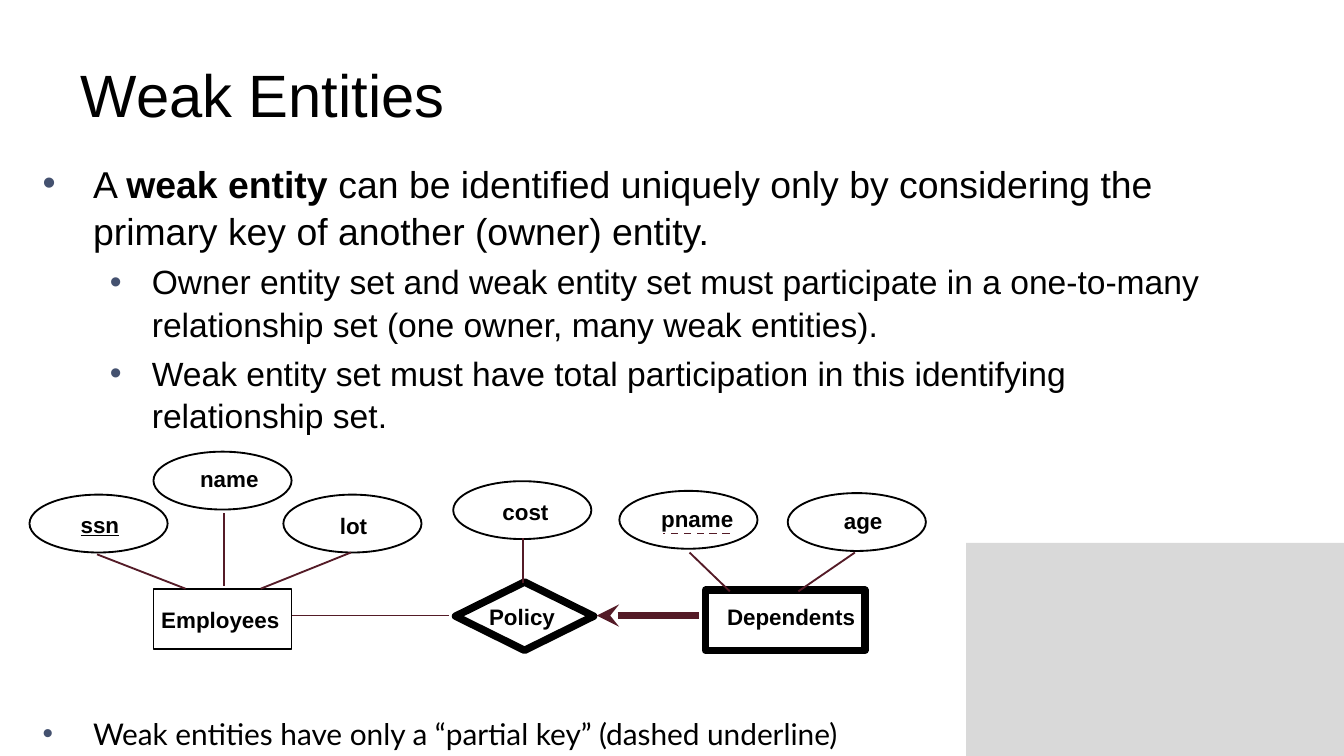
"""Build the Weak Entities slide with its entity-relationship diagram."""
from dataclasses import dataclass

import lxml.etree
import pptx
import pptx.dml.color
import pptx.enum.dml
import pptx.enum.shapes
import pptx.enum.text
import pptx.oxml
import pptx.oxml.ns
import pptx.util

Pt = pptx.util.Pt
Kind = pptx.enum.shapes.MSO_SHAPE
qualified = pptx.oxml.ns.qn


@dataclass(frozen=True)
class Theme:
    """Fonts, colours and sizes of the slide."""
    font: str = "Arial"
    note_font: str = "Lato"
    ink: str = "000000"
    link: str = "541B27"
    bullet: str = "44516F"
    panel: str = "D9D9D9"
    title_size: float = 32
    label_size: float = 12
    thin: float = 1
    thick: float = 4


THEME = Theme()


@dataclass(frozen=True)
class Bullet:
    """A bulleted paragraph; text between asterisks is bold."""
    text: str
    size: float
    margin: float
    hanging: float
    before: float
    font: str = THEME.font
    spacing: float = 1.05


@dataclass(frozen=True)
class Node:
    """An outlined diagram shape and the box of its label."""
    label: str
    left: float
    top: float
    label_left: float
    label_top: float
    label_width: float
    kind: Kind = Kind.OVAL
    width: float = 74
    height: float = 31
    weight: float = THEME.thin
    underline: bool = False


@dataclass(frozen=True)
class Link:
    """A straight line between two points."""
    x1: float
    y1: float
    x2: float
    y2: float
    weight: float = THEME.thin
    dashed: bool = False
    arrow: bool = False


BULLETS = [
    Bullet("A *weak entity *can be identified uniquely only by considering the "
           "primary key of another (owner) entity.", 20, 27, 27, 4),
    Bullet("Owner entity set and weak entity set must participate in a one-to-many "
           "relationship set (one owner, many weak entities).", 18, 58.5, 22.5, 3.6),
    Bullet("Weak entity set must have total participation in this identifying "
           "relationship set.", 18, 58.5, 22.5, 3.6),
    Bullet("Weak entities have only a “partial key” (dashed underline)",
           16, 27, 27, 150, THEME.note_font, 1.0),
]

NODES = [
    Node("ssn", 15.8, 265, 38.2, 270.7, 31.7, underline=True),
    Node("name", 82.2, 242, 102.2, 246.2, 42.5),
    Node("lot", 151.8, 265, 177.1, 271.4, 25.9),
    Node("cost", 242.8, 257.8, 264.2, 264.2, 35.3),
    Node("pname", 331.8, 263, 349.2, 267.8, 49.7),
    Node("age", 422, 264.2, 447.1, 268.6, 31.7),
    Node("Employees", 82.2, 315.4, 81.4, 321.8, 74.9, Kind.RECTANGLE, height=32.4),
    Node("Policy", 244, 311.8, 257, 320.4, 46.8, Kind.DIAMOND,
         height=36.6, weight=THEME.thick),
    Node("Dependents", 378, 316.2, 384.5, 320.4, 79.9, Kind.RECTANGLE,
         width=85.4, height=32.2, weight=THEME.thick),
]

LINKS = [
    Link(391, 285.8, 355, 285.8, dashed=True),
    Link(120.2, 275, 120.2, 314),
    Link(52, 297, 99.4, 315.4),
    Link(188, 296, 139.7, 315.4),
    Link(280.2, 312.5, 280.2, 288),
    Link(369.4, 296, 391, 316.8),
    Link(458, 296, 427.7, 316.8),
    Link(240.5, 329.8, 156.2, 329.8),
    Link(319.7, 329.8, 374.4, 329.8, THEME.thick, arrow=True),
]


def color(value: str) -> pptx.dml.color.RGBColor:
    """Return the colour for a hexadecimal value."""
    return pptx.dml.color.RGBColor.from_string(value)


def format_run(run, font: str, size: float, bold: bool = False) -> None:
    """Set the font, size, weight and ink of a run."""
    run.font.name, run.font.size, run.font.bold = font, Pt(size), bold
    run.font.color.rgb = color(THEME.ink)


def draw_panel(slide) -> None:
    """Draw the grey corner panel."""
    shape = slide.shapes.add_shape(Kind.RECTANGLE, Pt(517.6), Pt(290.8), Pt(202.4), Pt(114.2))
    shape.shadow.inherit = False
    shape.fill.solid()
    shape.fill.fore_color.rgb = color(THEME.panel)
    shape.line.fill.background()


def draw_title(slide, text: str) -> None:
    """Place and format the title placeholder."""
    title = slide.shapes.title
    title.left, title.top, title.width, title.height = Pt(36), Pt(16.6), Pt(648), Pt(67.6)
    title.text_frame.text = text
    title.text_frame.vertical_anchor = pptx.enum.text.MSO_ANCHOR.MIDDLE
    paragraph = title.text_frame.paragraphs[0]
    paragraph.alignment = pptx.enum.text.PP_ALIGN.LEFT
    format_run(paragraph.runs[0], THEME.font, THEME.title_size)


def draw_bullets(slide, bullets: list[Bullet]) -> None:
    """Write the bulleted text in one box."""
    text_frame = slide.shapes.add_textbox(Pt(15.8), Pt(81.4), Pt(648), Pt(323.6)).text_frame
    text_frame.word_wrap = True
    for index, bullet in enumerate(bullets):
        paragraph = text_frame.add_paragraph() if index else text_frame.paragraphs[0]
        paragraph.space_before = Pt(bullet.before)
        paragraph.line_spacing = bullet.spacing
        properties = paragraph._p.get_or_add_pPr()
        properties.set("marL", str(Pt(bullet.margin)))
        properties.set("indent", str(-Pt(bullet.hanging)))
        bullet_color = lxml.etree.SubElement(properties, qualified("a:buClr"))
        lxml.etree.SubElement(bullet_color, qualified("a:srgbClr"), val=THEME.bullet)
        lxml.etree.SubElement(properties, qualified("a:buFont"), typeface=THEME.font)
        lxml.etree.SubElement(properties, qualified("a:buChar"), char="•")
        for part, text in enumerate(bullet.text.split("*")):
            run = paragraph.add_run()
            run.text = text
            format_run(run, bullet.font, bullet.size, bold=part % 2 == 1)


def draw_node(slide, node: Node) -> None:
    """Draw an outlined shape and its label."""
    shape = slide.shapes.add_shape(
        node.kind, Pt(node.left), Pt(node.top), Pt(node.width), Pt(node.height))
    shape.shadow.inherit = False
    shape.fill.background()
    shape.line.color.rgb = color(THEME.ink)
    shape.line.width = Pt(node.weight)
    lxml.etree.SubElement(shape.line._get_or_add_ln(), qualified("a:round"))
    text_frame = slide.shapes.add_textbox(
        Pt(node.label_left), Pt(node.label_top), Pt(node.label_width), Pt(20.2)).text_frame
    text_frame.word_wrap = False
    text_frame.margin_left = text_frame.margin_right = Pt(5)
    text_frame.margin_top = text_frame.margin_bottom = Pt(2.9)
    text_frame.text = node.label
    run = text_frame.paragraphs[0].runs[0]
    format_run(run, THEME.font, THEME.label_size, bold=True)
    run.font.underline = node.underline


def draw_link(slide, link: Link) -> None:
    """Draw a connector, dashed or with an arrowhead at its start."""
    connector = slide.shapes.add_connector(
        pptx.enum.shapes.MSO_CONNECTOR.STRAIGHT,
        Pt(link.x1), Pt(link.y1), Pt(link.x2), Pt(link.y2))
    connector.line.color.rgb = color(THEME.link)
    connector.line.width = Pt(link.weight)
    if link.dashed:
        connector.line.dash_style = pptx.enum.dml.MSO_LINE.DASH
    if link.arrow:
        outline = connector.line._get_or_add_ln()
        lxml.etree.SubElement(outline, qualified("a:headEnd"), type="stealth")
    lxml.etree.SubElement(connector._element.spPr, qualified("a:effectLst"))


def main() -> None:
    """Build and save the presentation."""
    presentation = pptx.Presentation()
    presentation.slide_width, presentation.slide_height = Pt(720), Pt(405)
    slide = presentation.slides.add_slide(presentation.slide_layouts[5])
    draw_panel(slide)
    draw_title(slide, "Weak Entities")
    draw_bullets(slide, BULLETS)
    for node in NODES:
        draw_node(slide, node)
    for link in LINKS:
        draw_link(slide, link)
    presentation.save("out.pptx")


if __name__ == "__main__":
    main()
